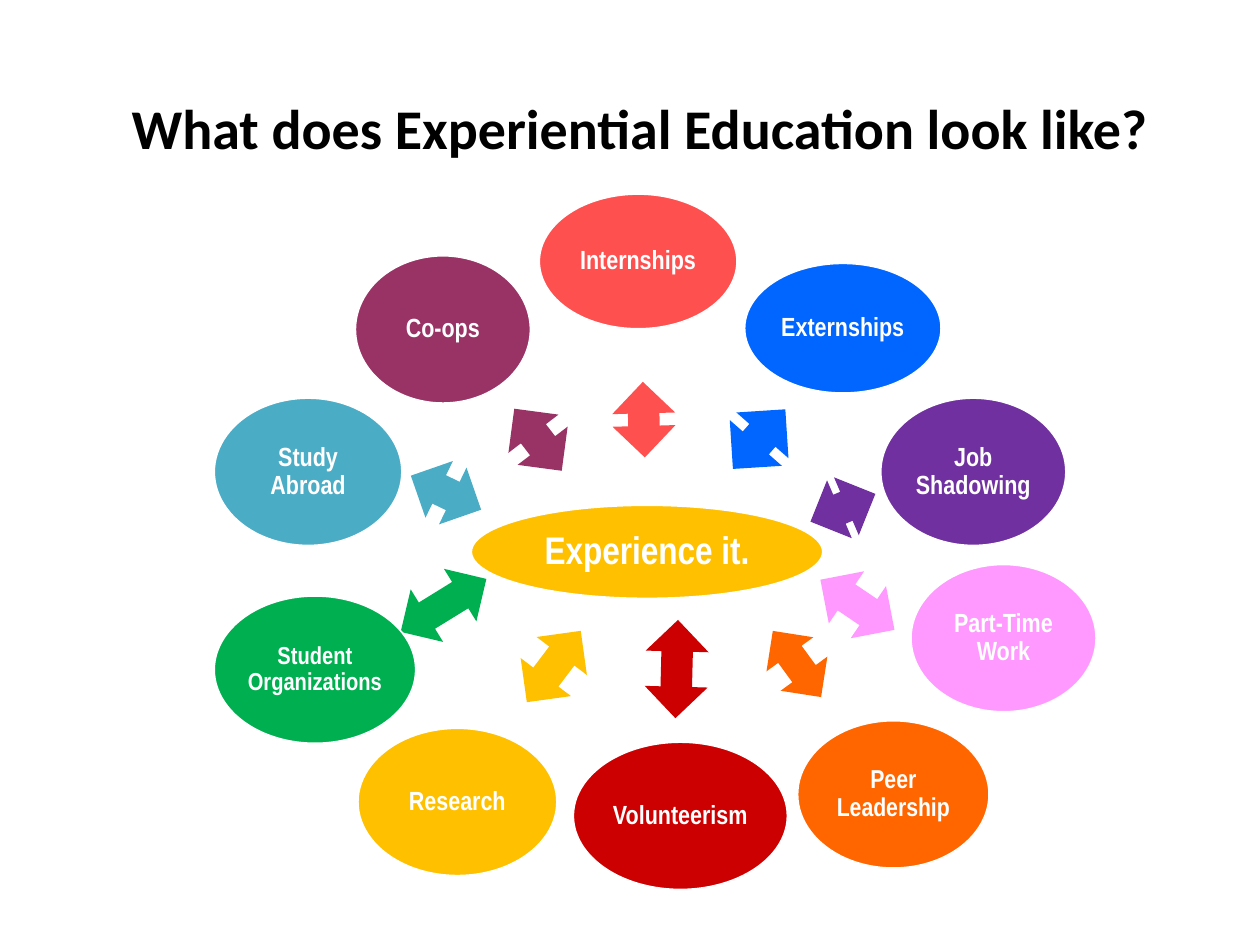
from pptx import Presentation
from pptx.dml.color import RGBColor
from pptx.enum.shapes import MSO_SHAPE
from pptx.enum.text import MSO_ANCHOR, PP_ALIGN
from pptx.util import Inches, Pt

# Theme: colours, fonts and type sizes
theme = {
    "ink": "000000", "white": "FFFFFF", "gold": "FFC000", "coral": "FF5050",
    "purple": "7030A0", "blue": "0066FF", "orange": "FF6600", "red": "CC0000",
    "pink": "FF99FF", "green": "00B050", "teal": "4BACC6", "plum": "993366",
    "head": "Calibri", "body": "Arial Narrow",
    "title": 32, "hub": 22, "label": 15, "snug": 14.8, "small": 14,
}

deck = Presentation()
deck.slide_width, deck.slide_height = Inches(10), Inches(7.5)
slide = deck.slides.add_slide(deck.slide_layouts[5])

# Grid: 100 columns by 75 rows
col, row = deck.slide_width / 100, deck.slide_height / 75


def write(shape, text, size, font, color, inset):
    frame = shape.text_frame
    frame.word_wrap = True
    frame.vertical_anchor = MSO_ANCHOR.MIDDLE
    frame.margin_left = frame.margin_right = Inches(inset)
    frame.margin_top = frame.margin_bottom = Inches(inset)
    para = frame.paragraphs[0]
    para.alignment = PP_ALIGN.CENTER
    para.line_spacing = 0.9
    run = para.add_run()
    run.text = text
    run.font.size = Pt(theme[size])
    run.font.name = theme[font]
    run.font.bold = True
    run.font.color.rgb = RGBColor.from_string(theme[color])


def draw(kind, box, color, edge=False):
    x, y, w, h = box
    shape = slide.shapes.add_shape(
        kind, round(x * col), round(y * row), round(w * col), round(h * row))
    shape.shadow.inherit = False
    shape.fill.solid()
    shape.fill.fore_color.rgb = RGBColor.from_string(theme[color])
    if edge:
        shape.line.color.rgb = RGBColor.from_string(theme["white"])
        shape.line.width = Pt(1)
    else:
        shape.line.fill.background()
    return shape


# Title
title = slide.shapes.title
title.left, title.top = round(7.7 * col), round(3.2 * row)
title.width, title.height = round(86.2 * col), round(14.5 * row)
write(title, "What does Experiential Education look like?",
      "title", "head", "ink", 0.05)

# Hub
hub = draw(MSO_SHAPE.OVAL, (37.4, 40.1, 27.9, 7.4), "gold", True)
write(hub, "Experience it.", "hub", "body", "white", 0.03)

# Spokes: label, size, colour, oval box, arrow box, arrow turn
spokes = [
    ("Internships", "label", "coral",
     (42.8, 15.4, 15.7, 10.7), (48.1, 30.8, 6, 5), 268.5),
    ("Job Shadowing", "label", "purple",
     (69.9, 31.6, 14.7, 11.7), (64.1, 37.8, 5.6, 5), 336.8),
    ("Externships", "label", "blue",
     (59.1, 20.9, 15.6, 10.3), (57.1, 32.1, 6.3, 5.5), 311.3),
    ("Peer Leadership", "snug", "orange",
     (63.3, 57.2, 15.2, 11.7), (60, 50.4, 6.5, 4.6), 53.9),
    ("Volunteerism", "label", "red",
     (45.5, 58.9, 17, 11.7), (49.8, 50.6, 7.8, 5), 91.5),
    ("Part-Time Work", "label", "pink",
     (72.3, 44.8, 14.7, 11.7), (64.5, 45.5, 7.1, 5), 34.1),
    ("Research", "label", "gold",
     (28.4, 57.8, 15.8, 11.7), (40.4, 50.4, 7.1, 5), 127.1),
    ("Student Organizations", "small", "green",
     (17, 47.3, 16, 11.7), (31.2, 45.6, 8, 4.9), 148.3),
    ("Study Abroad", "label", "teal",
     (17, 31.6, 14.9, 11.7), (32.3, 36.6, 6.2, 5), 205.8),
    ("Co-ops", "label", "plum",
     (28.2, 20.3, 13.9, 11.7), (39.6, 32.4, 6.2, 5), 232.6),
]
for label, size, color, place, span, turn in spokes:
    arrow = draw(MSO_SHAPE.LEFT_RIGHT_ARROW, span, color)
    arrow.rotation = turn
    oval = draw(MSO_SHAPE.OVAL, place, color, True)
    write(oval, label, size, "body", "white", 0.02)

deck.save("out.pptx")
